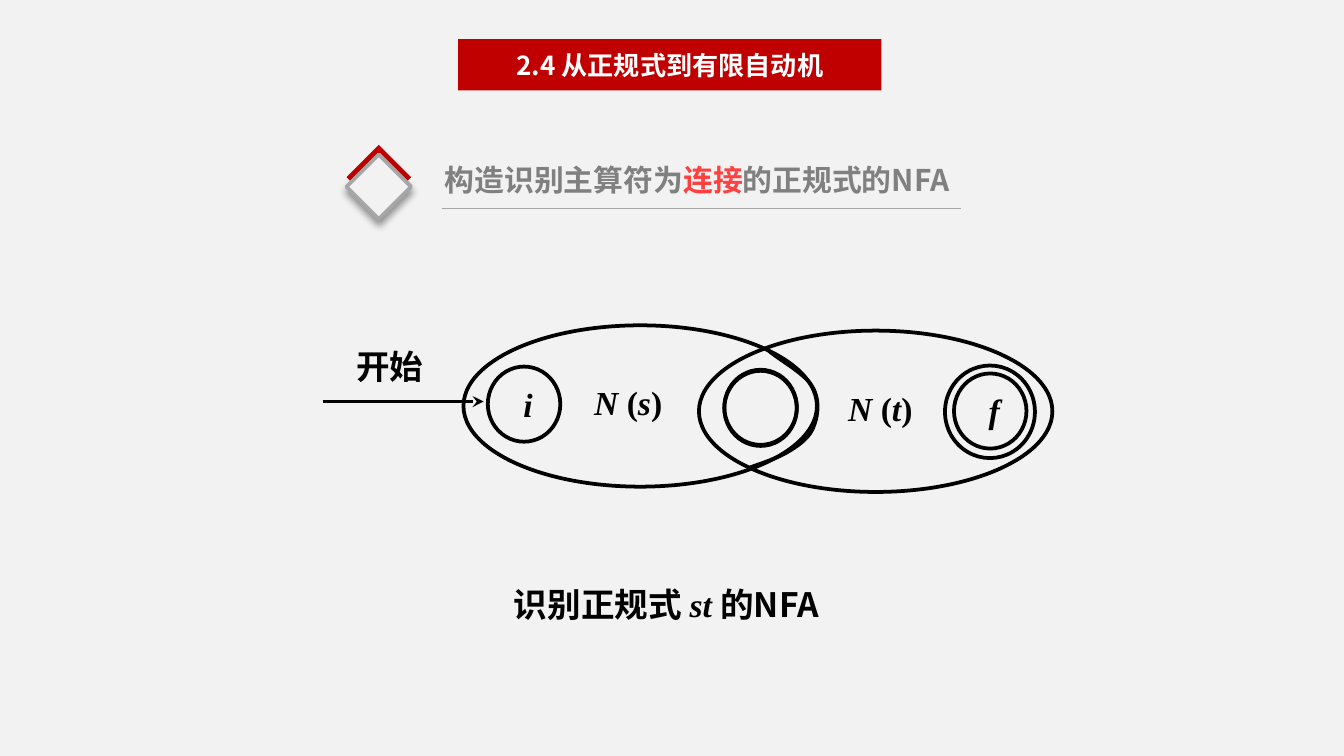
from lxml.etree import SubElement
from pptx import Presentation
from pptx.dml.color import RGBColor
from pptx.enum.shapes import MSO_CONNECTOR, MSO_SHAPE
from pptx.enum.text import MSO_ANCHOR, MSO_AUTO_SIZE, PP_ALIGN
from pptx.oxml import parse_xml
from pptx.oxml.ns import qn
from pptx.util import Cm, Pt

RED = RGBColor(0xC0, 0x00, 0x00)
ACCENT = RGBColor(0xFF, 0x40, 0x40)
WHITE = RGBColor(0xFF, 0xFF, 0xFF)
PAPER = RGBColor(0xF2, 0xF2, 0xF2)
GRAY = RGBColor(0x80, 0x80, 0x80)
SILVER = RGBColor(0xA6, 0xA6, 0xA6)
BLACK = RGBColor(0x00, 0x00, 0x00)
SANS, SERIF = "Noto Sans CJK SC", "Times New Roman"

# Content: runs are (text, font, colour, italic); lengths are in cm
TITLE = [("2.4 从正规式到有限自动机", SANS, WHITE, False)]
SUBTITLE = [("构造识别主算符为", SANS, GRAY, False),
            ("连接", SANS, ACCENT, False),
            ("的正规式的NFA", SANS, GRAY, False)]
START = [("开始", SANS, BLACK, False)]
CAPTION = [("识别正规式 ", SANS, BLACK, False),
           ("st ", SERIF, BLACK, True),
           ("的NFA", SANS, BLACK, False)]

MACHINE_SIZE, STATE_SIZE, RING_SIZE = (6.68, 3.05), (1.37, 1.42), (1.70, 1.75)
MACHINES = [  # left, top, name, label left, label top
    (8.76, 6.15, "s", 11.00, 7.14),
    (13.21, 6.25, "t", 15.80, 7.26),
]
STATES = [  # left, top, size, name
    (9.22, 6.93, STATE_SIZE, "i"),
    (13.69, 6.99, STATE_SIZE, ""),
    (13.69, 7.01, STATE_SIZE, ""),
    (17.86, 6.91, RING_SIZE, ""),
    (18.03, 7.06, STATE_SIZE, "f"),
]
SEAM = [  # Bezier curve along the right edge of N(s)
    (14.53, 6.63),
    (14.66, 6.76), (15.21, 7.06), (15.34, 7.29),
    (15.49, 7.52), (15.47, 7.82), (15.39, 8.03),
    (15.32, 8.26), (15.11, 8.41), (14.91, 8.53),
    (14.71, 8.66), (14.30, 8.79), (14.17, 8.84),
]
SHADOW = (
    '<a:effectLst xmlns:a="http://schemas.openxmlformats.org/drawingml/2006/main">'
    '<a:outerShdw blurRad="50800" dist="38100" dir="5400000" algn="t" rotWithShape="0">'
    '<a:srgbClr val="000000"><a:alpha val="40000"/></a:srgbClr>'
    '</a:outerShdw></a:effectLst>')


def write(tf, runs, size, align=PP_ALIGN.LEFT, insets=(0.15, 0.08, 0.15, 0.08),
          anchor=MSO_ANCHOR.TOP, wrap=True):
    tf.auto_size = MSO_AUTO_SIZE.NONE
    tf.word_wrap = wrap
    tf.vertical_anchor = anchor
    tf.margin_left, tf.margin_top, tf.margin_right, tf.margin_bottom = map(Cm, insets)
    p = tf.paragraphs[0]
    p.alignment = align
    for text, font, color, italic in runs:
        r = p.add_run()
        r.text = text
        r.font.name, r.font.size = font, Pt(size)
        r.font.bold, r.font.italic = True, italic
        r.font.color.rgb = color
        SubElement(r.font._element, qn("a:ea")).set("typeface", font)


def add_label(s, box, runs, size=18, **options):
    write(s.shapes.add_textbox(*map(Cm, box)).text_frame, runs, size, **options)


def add_outline(s, kind, left, top, size, fill=None, line=None):
    sp = s.shapes.add_shape(kind, Cm(left), Cm(top), *map(Cm, size))
    sp.shadow.inherit = False
    style(sp, fill, line)
    return sp


def style(sp, fill, line):
    if fill is None:
        sp.fill.background()
    else:
        sp.fill.solid()
        sp.fill.fore_color.rgb = fill
    if line is None:
        sp.line.fill.background()
    else:
        sp.line.color.rgb = line
        sp.line.width = Pt(2)


def add_line(s, x1, x2, y, color, width):
    c = s.shapes.add_connector(MSO_CONNECTOR.STRAIGHT, Cm(x1), Cm(y), Cm(x2), Cm(y))
    c.line.color.rgb = color
    c.line.width = Pt(width)
    SubElement(c._element.spPr, qn("a:effectLst"))
    return c


def bezier_points(points, steps=12):
    result = [points[0]]
    for k in range(0, len(points) - 1, 3):
        a, b, c, d = points[k:k + 4]
        for n in range(1, steps + 1):
            t = n / steps
            u = 1 - t
            result.append(tuple(
                u**3 * a[j] + 3 * u * u * t * b[j] + 3 * u * t * t * c[j] + t**3 * d[j]
                for j in (0, 1)))
    return result


def add_header(s):
    title = s.shapes.title
    title.left, title.top, title.width, title.height = map(Cm, (8.66, 0.74, 8, 0.97))
    style(title, RED, None)
    write(title.text_frame, TITLE, 14, PP_ALIGN.CENTER,
          insets=(0.18, 0.1, 0.18, 0.1), anchor=MSO_ANCHOR.MIDDLE)

    add_label(s, (8.23, 2.95, 10.29, 0.86), SUBTITLE, 16,
              insets=(0.18, 0.1, 0.18, 0.1), wrap=False)
    add_line(s, 8.36, 18.16, 3.94, SILVER, 0.75)

    # Diamond marker
    diamond = MSO_SHAPE.FLOWCHART_DECISION
    add_outline(s, diamond, 6.55, 2.74, (1.22, 1.22), RED)
    front = add_outline(s, diamond, 6.55, 2.92, (1.22, 1.22), PAPER, SILVER)
    spPr = front._element.spPr
    spPr.replace(spPr.find(qn("a:effectLst")), parse_xml(SHADOW))


def add_automaton(s):
    # Sub-machines N(s) and N(t)
    for left, top, name, x, y in MACHINES:
        add_outline(s, MSO_SHAPE.OVAL, left, top, MACHINE_SIZE, line=BLACK)
        runs = [("N ", SERIF, BLACK, True), ("(", SERIF, BLACK, False),
                (name, SERIF, BLACK, True), (")", SERIF, BLACK, False)]
        add_label(s, (x, y, 2.34, 1.7), runs, insets=(0.23, 0.08, 0.25, 0.13))

    # States
    for left, top, size, name in STATES:
        sp = add_outline(s, MSO_SHAPE.OVAL, left, top, size, line=BLACK)
        if name:
            write(sp.text_frame, [(name, SERIF, BLACK, True)], 18, PP_ALIGN.CENTER,
                  insets=(0.2, 0.08, 0.05, 0.1), anchor=MSO_ANCHOR.MIDDLE)

    # Thickened seam
    points = [(Cm(x), Cm(y)) for x, y in bezier_points(SEAM)]
    builder = s.shapes.build_freeform(*points[0])
    builder.add_line_segments(points[1:], close=False)
    seam = builder.convert_to_shape()
    seam.shadow.inherit = False
    style(seam, None, BLACK)

    # Start arrow
    add_label(s, (6.58, 6.45, 2.24, 1.35), START)
    arrow = add_line(s, 6.1, 9.14, 7.59, BLACK, 2)
    SubElement(arrow.line._get_or_add_ln(), qn("a:tailEnd")).set("type", "stealth")


def main():
    prs = Presentation()
    prs.slide_width, prs.slide_height = Cm(25.4), Cm(14.29)
    s = prs.slides.add_slide(prs.slide_layouts[5])
    s.background.fill.solid()
    s.background.fill.fore_color.rgb = PAPER
    add_header(s)
    add_automaton(s)
    add_label(s, (7.49, 10.95, 10.21, 1.19), CAPTION, align=PP_ALIGN.CENTER)
    prs.save("out.pptx")


if __name__ == "__main__":
    main()
